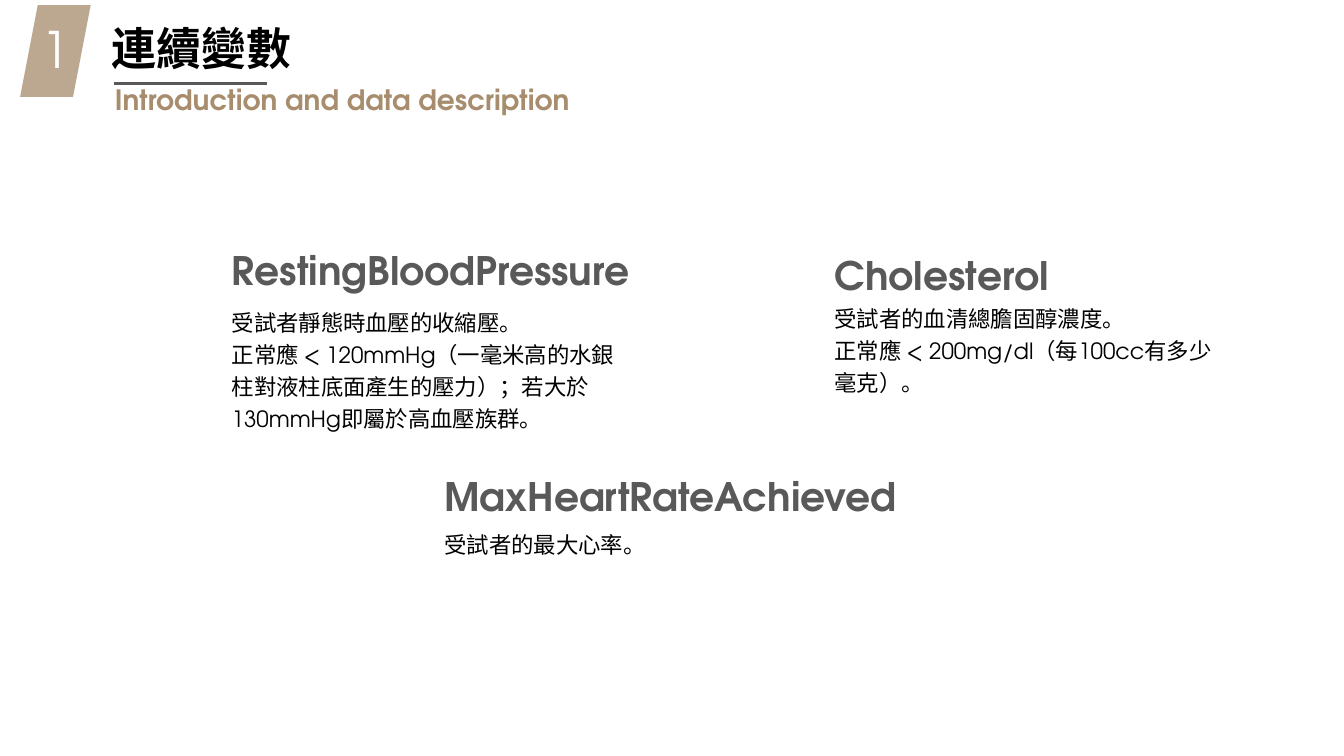
from lxml.etree import SubElement
from pptx import Presentation
from pptx.dml.color import RGBColor
from pptx.enum.shapes import MSO_CONNECTOR, MSO_SHAPE
from pptx.enum.text import MSO_ANCHOR, MSO_AUTO_SIZE, PP_ALIGN
from pptx.oxml.ns import qn
from pptx.util import Inches, Pt

LATIN = "TeX Gyre Adventor"
CJK = "Noto Sans CJK SC"
GREY, TAN, BROWN, BLACK, WHITE = "595959", "BCA890", "A78D6D", "000000", "FFFFFF"

VARIABLES = [
    ((2.2, 2.3, 4.25), 0.66, 1.36, "RestingBloodPressure", [
        "受試者靜態時血壓的收縮壓。",
        "正常應 < 120mmHg（一毫米高的水銀柱對液柱底面產生的壓力）；若大於130mmHg即屬於高血壓族群。",
    ]),
    ((8.18, 2.35, 4.01), 0.57, 1.04, "Cholesterol", [
        "受試者的血清總膽固醇濃度。",
        "正常應 < 200mg/dl（每100cc有多少毫克）。",
    ]),
    ((4.31, 4.54, 4.73), 0.63, 0.39, "MaxHeartRateAchieved", [
        "受試者的最大心率。",
    ]),
]


def color(value):
    return RGBColor.from_string(value)


def write(shape, lines, size, ink, bold=False, font=LATIN, align=PP_ALIGN.LEFT,
          spacing=1.0, wrap=True, insets=(0.1, 0.05)):
    frame = shape.text_frame
    frame.word_wrap = wrap
    frame.auto_size = MSO_AUTO_SIZE.NONE
    frame.vertical_anchor = MSO_ANCHOR.TOP
    frame.margin_left = frame.margin_right = Inches(insets[0])
    frame.margin_top = frame.margin_bottom = Inches(insets[1])
    for index, line in enumerate(lines):
        para = frame.add_paragraph() if index else frame.paragraphs[0]
        para.alignment = align
        para.line_spacing = spacing
        span = para.add_run()
        span.text = line
        span.font.name = font
        span.font.size = Pt(size)
        span.font.bold = bold
        span.font.color.rgb = color(ink)
        SubElement(span.font._element, qn("a:ea")).set("typeface", CJK)


def add_text(shapes, left, top, width, height, lines, size, ink, **style):
    box = shapes.add_textbox(Inches(left), Inches(top), Inches(width), Inches(height))
    write(box, lines, size, ink, **style)
    return box


def add_badge(page, left, top, width, height, number):
    badge = page.shapes.add_group_shape()
    tile = badge.shapes.add_shape(MSO_SHAPE.PARALLELOGRAM, Inches(left), Inches(top),
                                  Inches(width), Inches(height))
    tile.shadow.inherit = False
    tile.fill.solid()
    tile.fill.fore_color.rgb = color(TAN)
    tile.line.fill.background()
    label = add_text(badge.shapes, left + 0.08, top + 0.09, width - 0.15, height - 0.22,
                     [number], 36, WHITE, align=PP_ALIGN.CENTER, insets=(0.07, 0.04))
    label.text_frame.paragraphs[0].runs[0].font._element.set("spc", "220")


def add_header(page, left, top, title_text, subtitle):
    title = page.shapes.title
    title.left, title.top = Inches(left), Inches(top)
    title.width, title.height = Inches(2.03), Inches(0.61)
    write(title, [title_text], 32, BLACK, bold=True, font=CJK, insets=(0.07, 0.04))
    rule_left, rule_top = left + 0.09, top + 0.66
    rule = page.shapes.add_connector(MSO_CONNECTOR.STRAIGHT, Inches(rule_left), Inches(rule_top),
                                     Inches(rule_left + 1.52), Inches(rule_top))
    rule.line.color.rgb = color(GREY)
    rule.line.width = Pt(2.25)
    SubElement(rule._element.spPr, qn("a:effectLst"))
    add_text(page.shapes, left, top + 0.6, 4.76, 0.44, [subtitle], 20, BROWN,
             bold=True, wrap=False)


def add_variable(page, place, body_offset, body_height, name, lines):
    left, top, width = place
    add_text(page.shapes, left, top, width, 0.61, [name], 28, GREY, bold=True, spacing=1.2)
    add_text(page.shapes, left, top + body_offset, 4.01, body_height, lines, 16, BLACK,
             spacing=1.2)


def main():
    deck = Presentation()
    deck.slide_width, deck.slide_height = Inches(13.33), Inches(7.5)
    page = deck.slides.add_slide(deck.slide_layouts[5])
    add_badge(page, 0.2, 0.05, 0.7, 0.91, "1")
    add_header(page, 1.04, 0.17, "連續變數", "Introduction and data description")
    for variable in VARIABLES:
        add_variable(page, *variable)
    deck.save("out.pptx")


if __name__ == "__main__":
    main()
